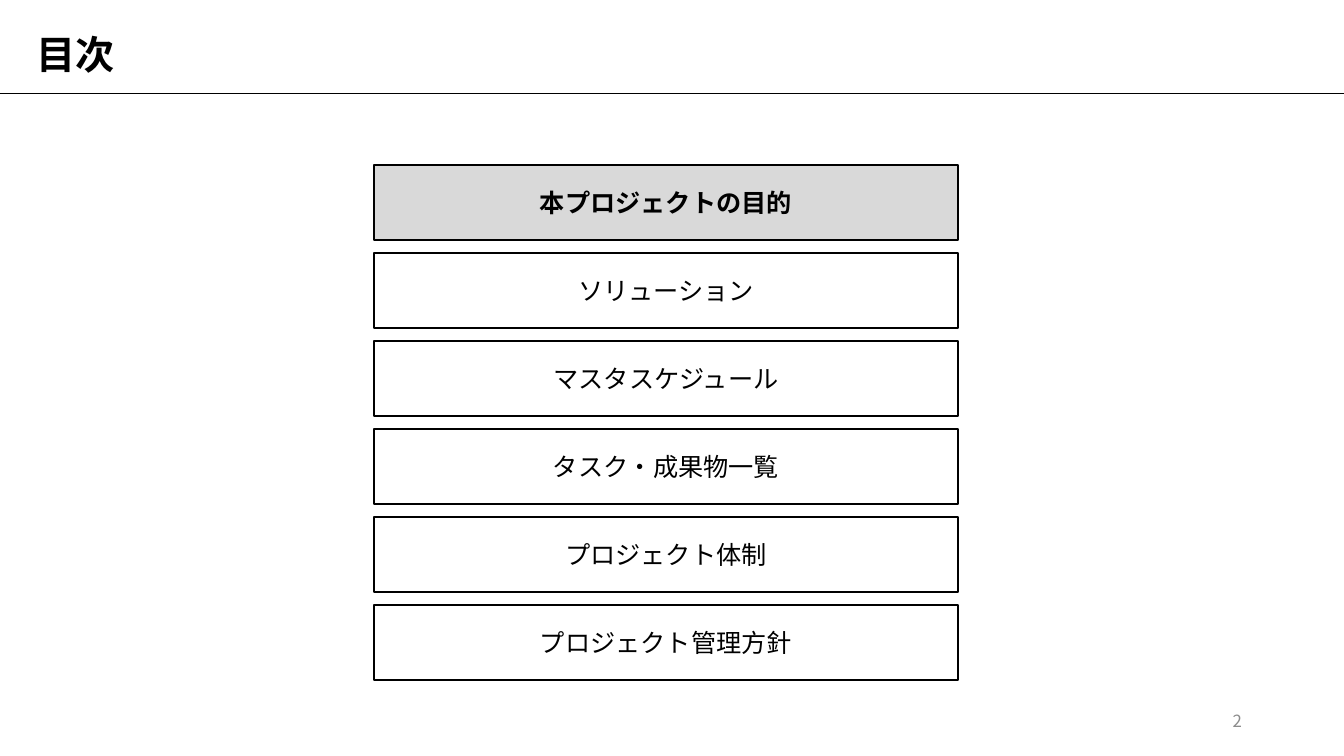
from lxml.etree import SubElement
from pptx import Presentation
from pptx.dml.color import RGBColor
from pptx.enum.shapes import MSO_CONNECTOR, MSO_SHAPE
from pptx.enum.text import MSO_ANCHOR, MSO_AUTO_SIZE, PP_ALIGN
from pptx.oxml.ns import qn
from pptx.util import Emu, Pt

EMU_PER_PIXEL = 914400 / 100.8
WIDTH, HEIGHT = 1344, 756


def px(length):
    return Emu(round(length * EMU_PER_PIXEL))


def color(hex_code):
    return RGBColor.from_string(hex_code)


class AgendaSlide:
    FONT = "Noto Sans CJK JP"
    INK, PAPER, HIGHLIGHT, MUTED = "000000", "FFFFFF", "D9D9D9", "8C8C8C"

    def __init__(self, deck):
        self.slide = deck.slides.add_slide(deck.slide_layouts[5])
        self.shapes = self.slide.shapes

    def label(self, shape, text, size, align, ink=INK, bold=False, spacing=1.0):
        frame = shape.text_frame
        frame.text = text
        paragraph = frame.paragraphs[0]
        font = paragraph.runs[0].font
        font.color.rgb = color(ink)
        formats = {
            frame: {"word_wrap": True, "auto_size": MSO_AUTO_SIZE.NONE,
                    "vertical_anchor": MSO_ANCHOR.MIDDLE},
            paragraph: {"alignment": align, "line_spacing": spacing},
            font: {"size": Pt(size), "bold": bold, "name": self.FONT},
        }
        for target, values in formats.items():
            for name, value in values.items():
                setattr(target, name, value)
        # Japanese glyphs take the East Asian typeface
        run_format = paragraph.runs[0]._r.get_or_add_rPr()
        SubElement(run_format, qn("a:ea"), typeface=self.FONT)

    def title(self, text, left, top, width, height):
        heading = self.shapes.title
        place = {"left": left, "top": top, "width": width, "height": height}
        for name, value in place.items():
            setattr(heading, name, px(value))
        self.label(heading, text, 28, PP_ALIGN.LEFT, bold=True, spacing=0.9)

    def rule(self, top):
        rule = self.shapes.add_connector(
            MSO_CONNECTOR.STRAIGHT, 0, px(top), px(WIDTH), px(top))
        rule.line.color.rgb = color(self.INK)
        rule.line.width = Pt(0.5)
        SubElement(rule._element.spPr, qn("a:effectLst"))

    def box(self, text, left, top, width, height, current):
        box = self.shapes.add_shape(
            MSO_SHAPE.RECTANGLE, *map(px, (left, top, width, height)))
        box.shadow.inherit = False
        box.fill.solid()
        box.fill.fore_color.rgb = color(self.HIGHLIGHT if current else self.PAPER)
        box.line.color.rgb = color(self.INK)
        box.line.width = Pt(1)
        self.label(box, text, 18, PP_ALIGN.CENTER, bold=current)

    def page_number(self, text, left, top, width, height):
        number = self.shapes.add_textbox(*map(px, (left, top, width, height)))
        self.label(number, text, 12, PP_ALIGN.RIGHT, ink=self.MUTED)


deck = Presentation()
deck.slide_width, deck.slide_height = px(WIDTH), px(HEIGHT)
agenda = AgendaSlide(deck)

# Heading
agenda.rule(93)
agenda.title("目次", 26, 21, 1279, 71)

# Agenda items, the current one highlighted
topics = ["本プロジェクトの目的", "ソリューション", "マスタスケジュール",
          "タスク・成果物一覧", "プロジェクト体制", "プロジェクト管理方針"]
current_topic = topics[0]
FIRST_TOP, PITCH = 165, 88
for row, topic in enumerate(topics):
    agenda.box(topic, 374, FIRST_TOP + row * PITCH, 584, 75,
               topic == current_topic)

# Footer
agenda.page_number("2", 950, 701, 302, 40)

deck.save("out.pptx")
